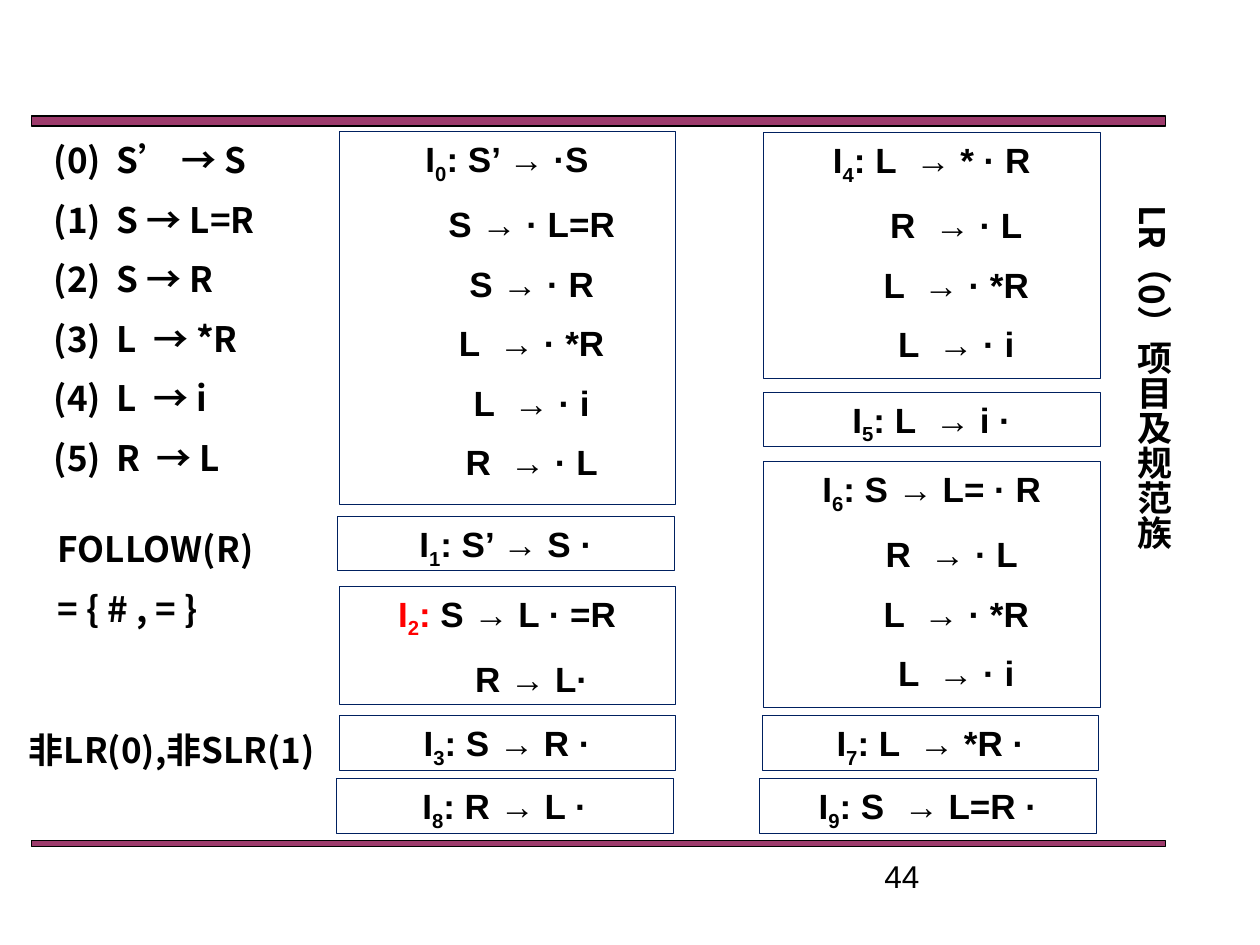
import pptx
import pptx.util
import pptx.dml.color
import pptx.enum.shapes
import pptx.enum.text
import pptx.oxml.ns
import lxml.etree

Inches = pptx.util.Inches
COLORS = {"bar": "993366", "border": "002060", "text": "000000", "conflict": "FF0000"}
HAN, LATIN = "Noto Sans CJK SC", "Arial"
RECTANGLE = pptx.enum.shapes.MSO_SHAPE.RECTANGLE
LEFT, CENTER = pptx.enum.text.PP_ALIGN.LEFT, pptx.enum.text.PP_ALIGN.CENTER
FRAME_FORMAT = {
    "word_wrap": True,
    "auto_size": pptx.enum.text.MSO_AUTO_SIZE.SHAPE_TO_FIT_TEXT,
    "vertical_anchor": pptx.enum.text.MSO_ANCHOR.TOP,
}


def rgb(name):
    return pptx.dml.color.RGBColor.from_string(COLORS[name])


def write(frame, lines, face, align=LEFT, size=20, bold=True, gap=10):
    for key, value in FRAME_FORMAT.items():
        setattr(frame, key, value)
    for index, pieces in enumerate(lines):
        paragraph = frame.add_paragraph() if index else frame.paragraphs[0]
        paragraph.alignment = align
        paragraph.space_before = pptx.util.Pt(gap)
        for words, color, baseline in pieces:
            run = paragraph.add_run()
            run.text = words
            font_format = {"name": face, "size": pptx.util.Pt(size), "bold": bold}
            for key, value in font_format.items():
                setattr(run.font, key, value)
            run.font.color.rgb = rgb(color)
            properties = run.font._element
            if baseline:
                properties.set("baseline", str(baseline))
            if face == HAN:
                east_asian = lxml.etree.SubElement(properties, pptx.oxml.ns.qn("a:ea"))
                east_asian.set("typeface", face)


deck = pptx.Presentation()
deck.slide_width, deck.slide_height = Inches(10), Inches(7.5)
slide = deck.slides.add_slide(deck.slide_layouts[5])

for top, height in [(0.92, 0.08), (6.67, 0.05)]:
    bar = slide.shapes.add_shape(RECTANGLE, Inches(0.25), Inches(top), Inches(9), Inches(height))
    bar.shadow.inherit = False
    bar.fill.solid()
    bar.fill.fore_color.rgb = rgb("bar")
    bar.line.color.rgb = rgb("text")
    bar.line.width = pptx.util.Pt(0.75)
    bar_color = bar._element.spPr.find(".//" + pptx.oxml.ns.qn("a:srgbClr"))
    lxml.etree.SubElement(bar_color, pptx.oxml.ns.qn("a:alpha")).set("val", "96000")

title = slide.shapes.title
title.left, title.top, title.width, title.height = map(Inches, (8.54, 1.58, 0.88, 4.25))
write(title.text_frame, [[("LR（0）项目及规范族", "text", 0)]], HAN, CENTER, gap=0)
title.text_frame._txBody.bodyPr.set("vert", "eaVert")

notes_on_grammar = [
    (0.33, 1.05, 2.96, ["(0)  S’ → S", "(1)  S → L=R", "(2)  S → R",
                        "(3)  L  → *R", "(4)  L  → i", "(5)  R  → L"]),
    (0.36, 4.14, 0.94, ["FOLLOW(R)", "= { # , = }"]),
    (0.13, 5.73, 0.44, ["非LR(0),非SLR(1)"]),
]
for left, top, height, rules in notes_on_grammar:
    grammar = slide.shapes.add_textbox(Inches(left), Inches(top), Inches(2.67), Inches(height))
    write(grammar.text_frame, [[(rule, "text", 0)] for rule in rules], HAN)

item_sets = [
    (2.69, 1.04, ["S’ → ·S", "S → · L=R", "S → · R", "L  → · *R", "L  → · i", "R  → · L"]),
    (2.68, 4.1, ["S’ → S ·"]),
    (2.69, 4.65, ["S → L · =R", "R → L·"]),
    (2.69, 5.68, ["S → R ·"]),
    (6.06, 1.05, ["L  → * · R", "R  → · L", "L  → · *R", "L  → · i"]),
    (6.06, 3.11, ["L  → i ·"]),
    (6.06, 3.66, ["S → L= · R", "R  → · L ", "L  → · *R", "L  → · i"]),
    (6.05, 5.68, ["L  → *R ·"]),
    (2.67, 6.18, ["R → L ·"]),
    (6.03, 6.18, ["S  → L=R ·"]),
]
for number, (left, top, items) in enumerate(item_sets):
    height = round(0.505 * len(items) - 0.07, 2)
    state = slide.shapes.add_shape(RECTANGLE, Inches(left), Inches(top), Inches(2.67), Inches(height))
    state.shadow.inherit = False
    state.fill.background()
    state.line.color.rgb = rgb("border")
    state.line.width = pptx.util.Pt(0.25)
    label = "conflict" if number == 2 else "text"
    heading = [("I", label, 0), (str(number), label, -25000), (":", label, 0), (" " + items[0], "text", 0)]
    write(state.text_frame, [heading] + [[(item, "text", 0)] for item in items[1:]], LATIN, CENTER)
    for closure in state.text_frame.paragraphs[1:]:
        indent = closure._p.get_or_add_pPr()
        indent.set("marL", str(Inches(0.39)))
        indent.set("indent", "0")

page_number = slide.shapes.add_textbox(Inches(6.92), Inches(6.75), Inches(2.33), Inches(0.27))
write(page_number.text_frame, [[("44", "text", 0)]], LATIN, size=18, bold=False, gap=0)

deck.save("out.pptx")
